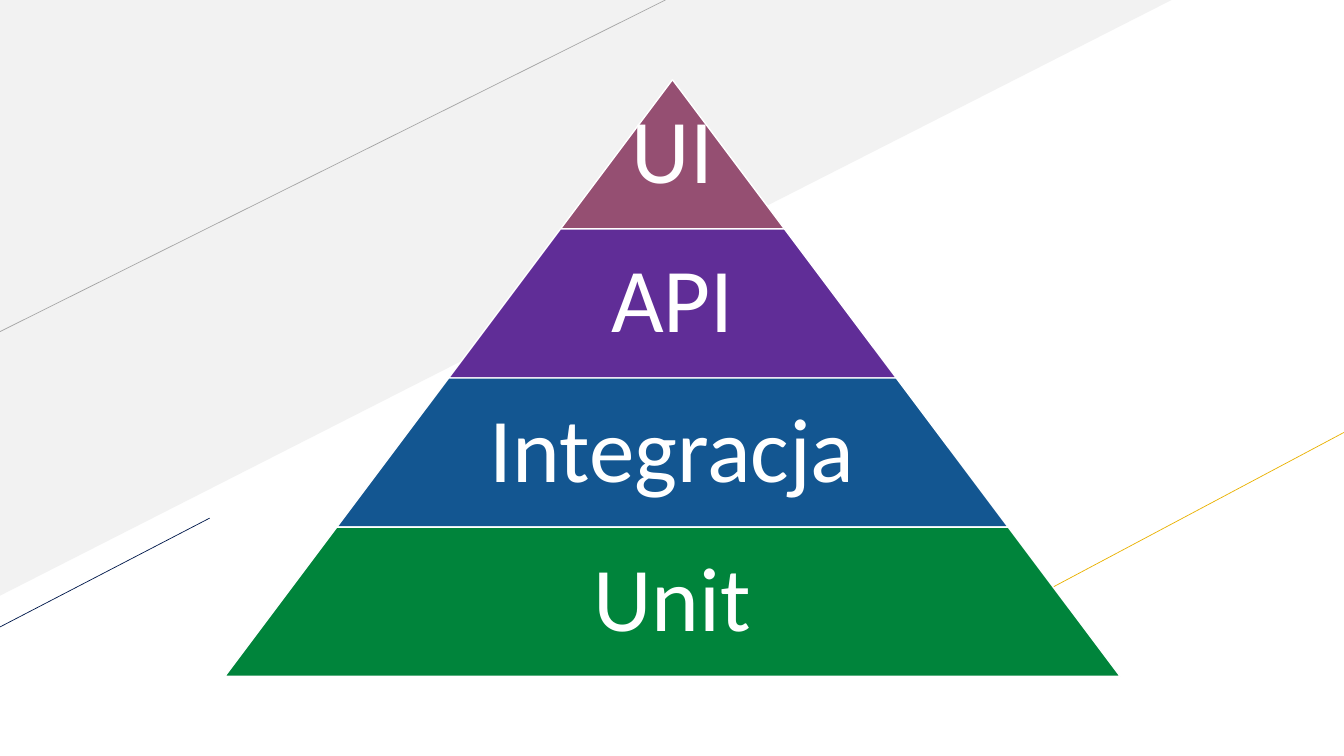
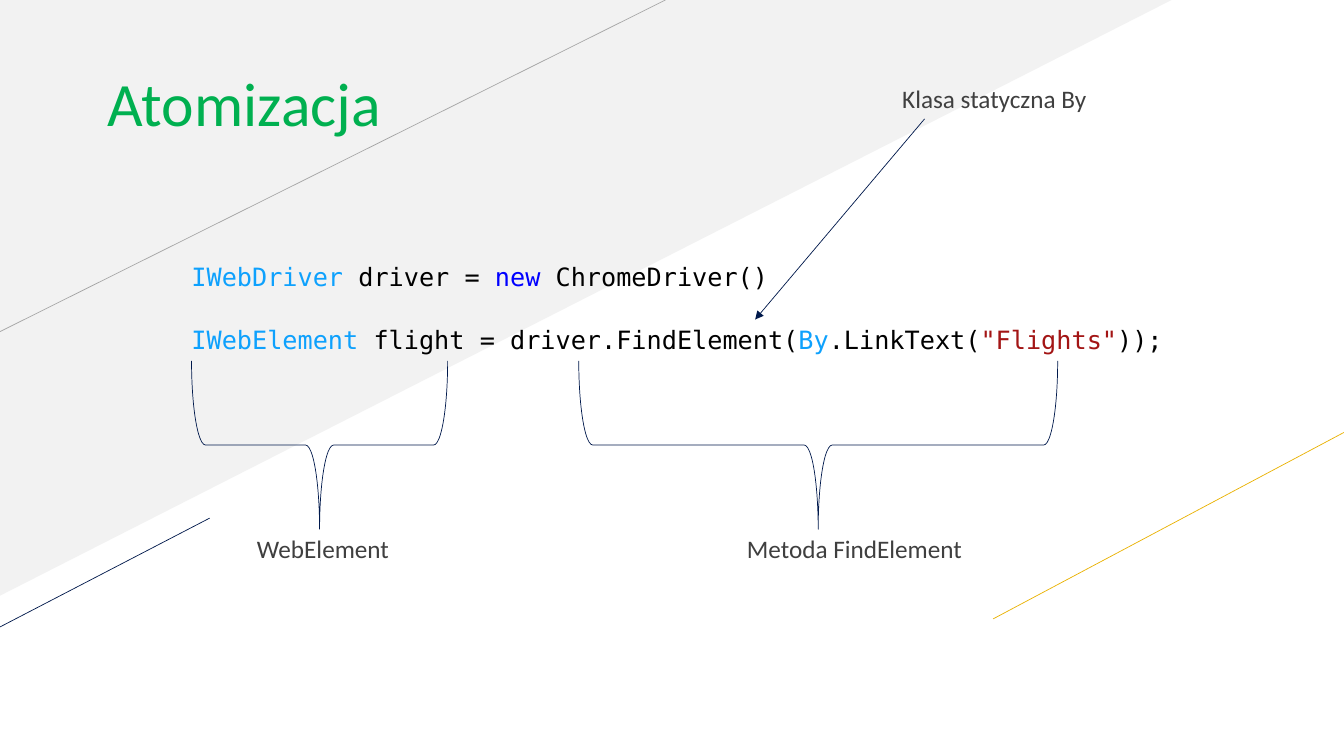
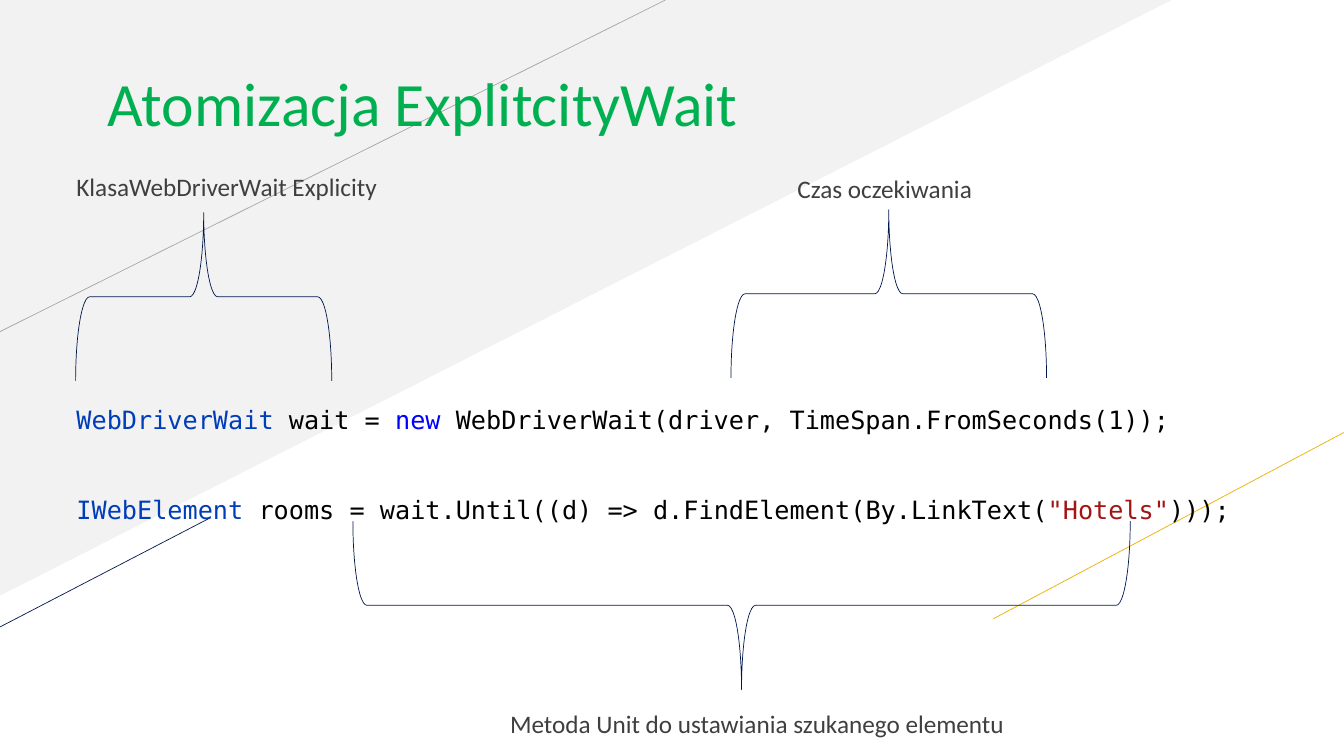
import pptx
import pptx.dml.color
import pptx.enum.shapes
import pptx.enum.text
import pptx.oxml.ns
import pptx.util
from lxml import etree

PX = 9144
BRACE_DEPTH = 167
SANS, MONO = "Calibri", "DejaVu Sans Mono"
COLORS = {
    "panel": "F2F2F2", "grey": "A6A6A6", "gold": "EAB200", "navy": "00194C",
    "white": "FFFFFF", "black": "000000", "title": "00B050", "label": "3F3F3F",
    "sky": "0EA1FD", "type": "003DB8", "keyword": "0000FF", "string": "A31515",
    "ui": "954F72", "api": "602D97", "integration": "135691", "unit": "00843B",
}
SHAPE = pptx.enum.shapes.MSO_SHAPE
ANCHOR = pptx.enum.text.MSO_ANCHOR
ALIGN = pptx.enum.text.PP_ALIGN
qn = pptx.oxml.ns.qn


def px(*values):
    """Turn px lengths into EMU."""
    return [pptx.util.Emu(round(v * PX)) for v in values]


def rgb(name):
    """Look up a palette colour."""
    return pptx.dml.color.RGBColor.from_string(COLORS[name])


def style_line(line, color, width=0.5):
    """Give an outline its colour and width in points."""
    line.color.rgb = rgb(color)
    line.width = pptx.util.Pt(width)


def style_font(font, size, color, name=SANS):
    """Set face, size and colour of a font."""
    font.name = name
    font.size = pptx.util.Pt(size)
    font.color.rgb = rgb(color)


def add_shape(slide, kind, box, fill=None):
    """Add a preset shape without shadow or outline."""
    sp = slide.shapes.add_shape(kind, *px(*box))
    sp.shadow.inherit = False
    if fill:
        sp.fill.solid()
        sp.fill.fore_color.rgb = rgb(fill)
    else:
        sp.fill.background()
    sp.line.fill.background()
    return sp


def add_line(slide, start, end, color, arrow=False):
    """Add a straight line, with an arrowhead at its end if asked."""
    kind = pptx.enum.shapes.MSO_CONNECTOR.STRAIGHT
    cn = slide.shapes.add_connector(kind, *px(*start, *end))
    style_line(cn.line, color)
    props = cn.element.spPr
    if arrow:
        etree.SubElement(props.find(qn("a:ln")), qn("a:tailEnd"), type="triangle")
    etree.SubElement(props, qn("a:effectLst"))


def add_text(slide, box, text, size, color):
    """Add a wrapping text box and return its frame."""
    tf = slide.shapes.add_textbox(*px(*box)).text_frame
    tf.word_wrap = True
    tf.text = text
    style_font(tf.paragraphs[0].runs[0].font, size, color)
    return tf


def add_label(slide, x, y, w, text):
    """Add a short explanation."""
    add_text(slide, (x, y, w, 40), text, 18, "label")


def add_code(slide, x, y, w, h, lines, gap=0):
    """Add code lines made of (text, colour) runs."""
    tf = slide.shapes.add_textbox(*px(x, y, w, h)).text_frame
    tf.word_wrap = True
    for i, line in enumerate(lines):
        p = tf.add_paragraph() if i else tf.paragraphs[0]
        if i:
            p.space_before = pptx.util.Pt(gap)
        for text, color in line:
            r = p.add_run()
            r.text = text
            style_font(r.font, 18, color, MONO)


def add_brace(slide, x, y, span, up=False):
    """Add a horizontal brace from its visible top-left corner and span."""
    shift = (span - BRACE_DEPTH) / 2
    sp = add_shape(slide, SHAPE.LEFT_BRACE, (x + shift, y - shift, BRACE_DEPTH, span))
    sp.rotation = 90 if up else 270
    style_line(sp.line, "navy")


def add_backdrop(prs, slide):
    """Draw the shared backdrop and move it to the slide master."""
    sp = add_shape(slide, SHAPE.RIGHT_TRIANGLE, (0, 0, 1162, 591), "panel")
    sp.element.spPr.find(qn("a:xfrm")).set("flipV", "1")
    add_line(slide, (0, 329), (660, 0), "grey")
    add_line(slide, (985, 614), (1333, 429), "gold")
    add_line(slide, (-2, 623), (208, 514), "navy")
    for number, sp in enumerate(list(slide.shapes), 101):
        sp.element.xpath(".//p:cNvPr")[0].set("id", str(number))
        prs.slide_master.shapes.element.append(sp.element)


def add_titled_slide(prs, title, width):
    """Add a slide with a left-aligned title."""
    slide = prs.slides.add_slide(prs.slide_layouts[5])
    sp = slide.shapes.title
    sp.left, sp.top, sp.width, sp.height = px(97, 59, width, 84)
    tf = sp.text_frame
    tf.text = title
    tf.auto_size = pptx.enum.text.MSO_AUTO_SIZE.NONE
    tf.vertical_anchor = ANCHOR.TOP
    p = tf.paragraphs[0]
    p.alignment = ALIGN.LEFT
    style_font(p.runs[0].font, 44, "title")
    return slide


def add_pyramid(slide, levels, center, top, step, height):
    """Stack trapezoids that widen by one step a level."""
    for i, (text, color) in enumerate(levels):
        width = step * (i + 1)
        box = (center - width / 2, top + height * i, width, height)
        sp = add_shape(slide, SHAPE.TRAPEZOID, box, color)
        sp.adjustments[0] = 0.75
        style_line(sp.line, "white", 1)
        tf = add_text(slide, box, text, 65, "white")
        tf.vertical_anchor = ANCHOR.MIDDLE
        p = tf.paragraphs[0]
        p.alignment = ALIGN.CENTER
        p.line_spacing = 0.9


def build_pyramid_slide(prs):
    """Build the test pyramid."""
    slide = prs.slides.add_slide(prs.slide_layouts[6])
    add_backdrop(prs, slide)
    levels = [("UI", "ui"), ("API", "api"), ("Integracja", "integration"), ("Unit", "unit")]
    add_pyramid(slide, levels, 667, 79, 222, 148)


def build_find_slide(prs):
    """Build the breakdown of finding an element."""
    slide = add_titled_slide(prs, "Atomizacja", 322)
    add_code(slide, 180, 254, 669, 40, [[
        ("IWebDriver", "sky"), (" driver = ", "black"),
        ("new ", "keyword"), ("ChromeDriver()", "black")]])
    add_code(slide, 180, 317, 1042, 40, [[
        ("IWebElement ", "sky"), ("flight = driver.FindElement(", "black"),
        ("By", "sky"), (".LinkText(", "black"),
        ('"Flights"', "string"), ("));", "black")]])
    add_brace(slide, 190, 358, 254)
    add_label(slide, 245, 524, 235, "WebElement")
    add_brace(slide, 574, 358, 475)
    add_label(slide, 731, 524, 235, "Metoda FindElement")
    add_line(slide, (917, 118), (749, 317), "navy", arrow=True)
    add_label(slide, 885, 78, 235, "Klasa statyczna By")


def build_wait_slide(prs):
    """Build the breakdown of the explicit wait."""
    slide = add_titled_slide(prs, "Atomizacja ExplitcityWait", 767)
    add_brace(slide, 75, 211, 254, up=True)
    add_label(slide, 66, 165, 337, "KlasaWebDriverWait Explicity")
    add_brace(slide, 725, 208, 313, up=True)
    add_label(slide, 781, 167, 235, "Czas oczekiwania")
    add_code(slide, 66, 396, 1250, 131, [
        [("WebDriverWait ", "type"), ("wait = ", "black"), ("new ", "keyword"),
         ("WebDriverWait(driver, TimeSpan.FromSeconds(1));", "black")],
        [("IWebElement ", "type"),
         ("rooms = wait.Until((d) => d.FindElement(By.LinkText(", "black"),
         ('"Hotels"', "string"), (")));", "black")],
    ], gap=43)
    add_brace(slide, 350, 517, 771)
    add_label(slide, 496, 698, 585, "Metoda Unit do ustawiania szukanego elementu")


def main():
    """Build and save the presentation."""
    prs = pptx.Presentation()
    prs.slide_width, prs.slide_height = px(1333, 750)
    build_pyramid_slide(prs)
    build_find_slide(prs)
    build_wait_slide(prs)
    prs.save("out.pptx")


if __name__ == "__main__":
    main()
